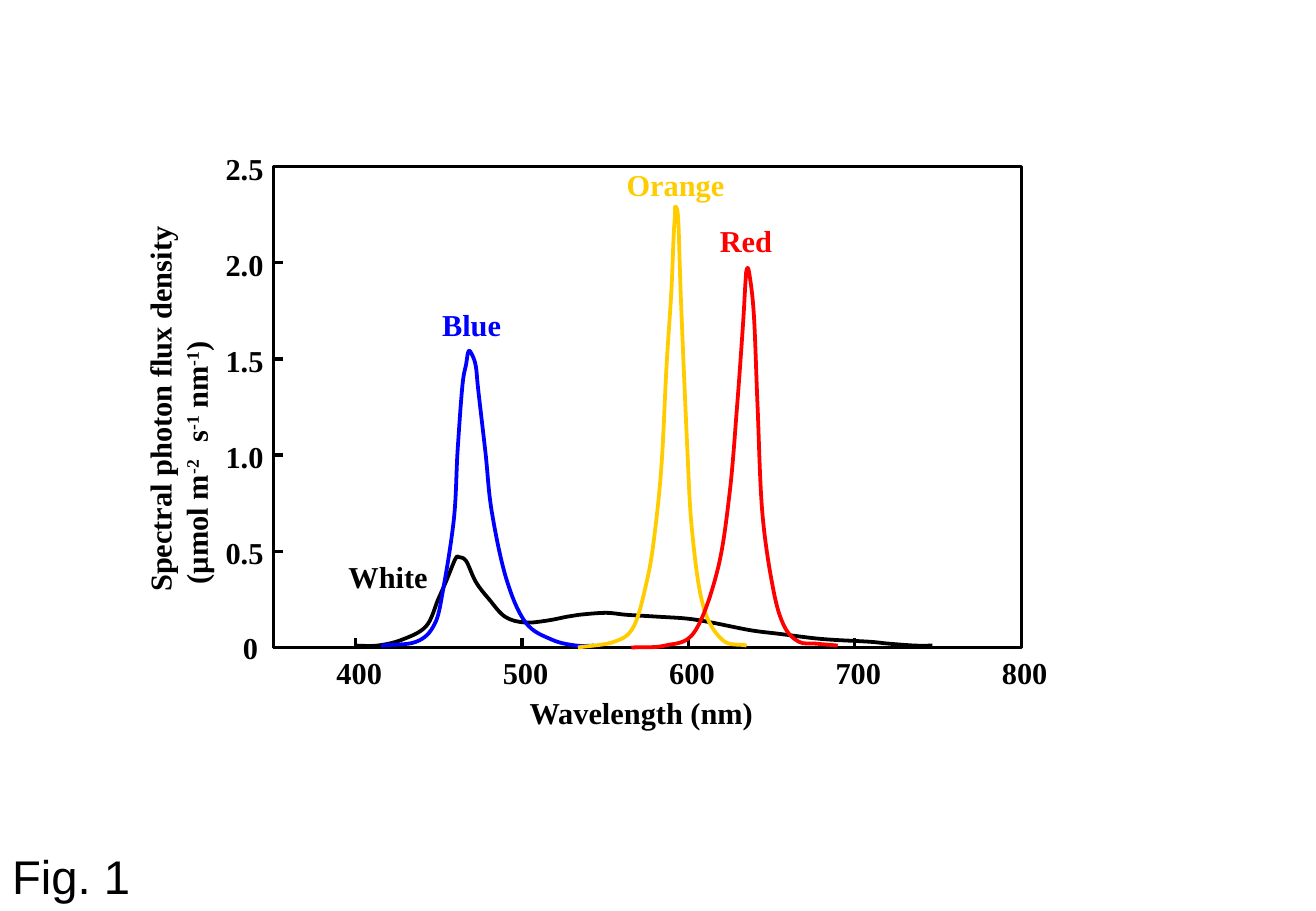
from dataclasses import dataclass

from lxml.etree import SubElement
from pptx import Presentation
from pptx.dml.color import RGBColor
from pptx.enum.shapes import MSO_CONNECTOR, MSO_SHAPE
from pptx.enum.text import MSO_ANCHOR, MSO_AUTO_SIZE, PP_ALIGN
from pptx.oxml.ns import qn
from pptx.util import Cm, Pt


@dataclass(frozen=True)
class Theme:
    black: RGBColor = RGBColor(0x00, 0x00, 0x00)
    blue: RGBColor = RGBColor(0x00, 0x00, 0xFF)
    orange: RGBColor = RGBColor(0xFF, 0xCC, 0x00)
    red: RGBColor = RGBColor(0xFF, 0x00, 0x00)
    label_font: str = "Times New Roman"
    title_font: str = "Arial"
    label_size: Pt = Pt(18)
    title_size: Pt = Pt(28)
    hairline: Pt = Pt(0)
    axis_line: Pt = Pt(2)
    curve_line: Pt = Pt(2.25)


THEME = Theme()

PLOT_LEFT, PLOT_TOP, PLOT_WIDTH, PLOT_HEIGHT = 5.72, 3.48, 15.65, 10.06
PLOT_BOTTOM = PLOT_TOP + PLOT_HEIGHT
NM_400, CM_PER_NM = 7.44, 3.48 / 100
CM_PER_FLUX = PLOT_HEIGHT / 2.5
TICK, CORNER_TICK = 0.2, 0.14
LABEL_HEIGHT = 0.76

WHITE = [
    (400, 0.01), (413.1, 0.01), (427.7, 0.04), (442.3, 0.11), (449.6, 0.25),
    (454.7, 0.35), (458.4, 0.43), (460.6, 0.47), (462, 0.47), (466.4, 0.45),
    (472.3, 0.34), (480.3, 0.25), (489.8, 0.16), (501.5, 0.13), (515.3, 0.14),
    (527, 0.16), (534.3, 0.17), (550.4, 0.18), (562.8, 0.17), (581.8, 0.16),
    (599.3, 0.15), (613.9, 0.13), (637.2, 0.09), (655.5, 0.07), (673.7, 0.05),
    (686.9, 0.04), (708.8, 0.03), (720.4, 0.02), (736.5, 0.01), (746.7, 0.01),
]
BLUE = [
    (415.3, 0.01), (436.5, 0.03), (447.4, 0.12), (452.6, 0.3), (459.1, 0.67),
    (461.3, 1.02), (464.2, 1.36), (466.4, 1.47), (467.9, 1.54), (470.1, 1.52),
    (472.3, 1.46), (473.7, 1.34), (478.1, 1.01), (481.8, 0.71), (490.5, 0.36),
    (502.2, 0.13), (518.2, 0.04), (532.8, 0.01), (543.1, 0.01),
]
ORANGE = [
    (533.6, 0), (555.5, 0.03), (567.2, 0.11), (575.2, 0.35), (579.6, 0.58),
    (583.9, 0.95), (586.9, 1.46), (589.8, 1.85), (591.2, 2.14), (592, 2.25),
    (592, 2.29), (593.4, 2.27), (594.2, 2.17), (595.6, 1.8), (599.3, 1.05),
    (602.2, 0.61), (608.8, 0.22), (620.4, 0.04), (635, 0.01),
]
RED = [
    (565.7, 0), (586.1, 0.01), (603.6, 0.08), (617.5, 0.4), (624.8, 0.8),
    (629.2, 1.24), (632.8, 1.67), (634.3, 1.89), (635, 1.96), (636.5, 1.95),
    (639.4, 1.73), (641.6, 1.26), (644.5, 0.7), (651.1, 0.3), (657.7, 0.11),
    (666.4, 0.03), (676.6, 0.02), (689.8, 0.01),
]

SPECTRA = [
    ("White", WHITE, THEME.black, 7.29, 11.68, 1.8),
    ("Blue", BLUE, THEME.blue, 9.25, 6.4, 1.4),
    ("Orange", ORANGE, THEME.orange, 13.11, 3.48, 2.2),
    ("Red", RED, THEME.red, 15.06, 4.65, 1.25),
]


def x_at(nm):
    return NM_400 + (nm - 400) * CM_PER_NM


def y_at(flux):
    return PLOT_BOTTOM - flux * CM_PER_FLUX


def format_run(r, font, size, color, bold):
    r.font.name = font
    r.font.size = size
    r.font.bold = bold
    r.font.color.rgb = color


def add_label(s, text, left, top, width, height=LABEL_HEIGHT, color=THEME.black):
    sp = s.shapes.add_textbox(Cm(left), Cm(top), Cm(width), Cm(height))
    tf = sp.text_frame
    tf.margin_left = tf.margin_right = tf.margin_top = tf.margin_bottom = 0
    tf.word_wrap = False
    tf.auto_size = MSO_AUTO_SIZE.NONE
    tf.text = text
    p = tf.paragraphs[0]
    p.alignment = PP_ALIGN.LEFT
    format_run(p.runs[0], THEME.label_font, THEME.label_size, color, True)
    return sp


def add_tick(s, x, y, dx, dy, width=THEME.axis_line):
    line = s.shapes.add_connector(
        MSO_CONNECTOR.STRAIGHT, Cm(x), Cm(y), Cm(x + dx), Cm(y + dy)
    )
    line.line.color.rgb = THEME.black
    line.line.width = width
    SubElement(line._element.spPr, qn("a:effectLst"))


def add_frame(s):
    sp = s.shapes.add_shape(
        MSO_SHAPE.RECTANGLE, Cm(PLOT_LEFT), Cm(PLOT_TOP), Cm(PLOT_WIDTH), Cm(PLOT_HEIGHT)
    )
    sp.shadow.inherit = False
    sp.fill.background()
    sp.line.color.rgb = THEME.black
    sp.line.width = THEME.axis_line


def add_axes(s):
    add_tick(s, PLOT_LEFT, PLOT_BOTTOM, CORNER_TICK, 0, THEME.hairline)
    add_tick(s, PLOT_LEFT, PLOT_BOTTOM, 0, -CORNER_TICK, THEME.hairline)
    add_frame(s)
    for nm in range(400, 801, 100):
        x = x_at(nm)
        add_label(s, str(nm), x - 0.4, PLOT_BOTTOM + 0.13, 1.1)
        if nm < 800:
            add_tick(s, x, PLOT_BOTTOM, 0, -TICK)
    add_label(s, "0", 5.08, PLOT_BOTTOM - 0.38, 0.45)
    for text in ("0.5", "1.0", "1.5", "2.0", "2.5"):
        y = y_at(float(text))
        add_label(s, text, 4.72, y - 0.35, 0.95)
        if text != "2.5":
            add_tick(s, PLOT_LEFT, y, TICK, 0)


def add_axis_titles(s):
    add_label(s, "Wavelength (nm)", 11.08, 14.51, 4.85)
    sp = add_label(s, "Spectral photon flux density", -0.13, 7.77, 7.69, 2 * LABEL_HEIGHT)
    sp.rotation = 270
    p = sp.text_frame.add_paragraph()
    p.alignment = PP_ALIGN.LEFT
    units = [(" (µmol m", "-2　"), ("s", "-1"), (" nm", "-1"), (")", "")]
    for base, exponent in units:
        for text, baseline in ((base, "0"), (exponent, "30000")):
            if text:
                r = p.add_run()
                r.text = text
                format_run(r, THEME.label_font, THEME.label_size, THEME.black, True)
                r._r.get_or_add_rPr().set("baseline", baseline)


def mirrored(end, inner):
    return tuple(2 * e - i for e, i in zip(end, inner))


def handles(before, start, end, after):
    first = [b + (c - a) / 6 for a, b, c in zip(before, start, end)]
    second = [c - (d - b) / 6 for b, c, d in zip(start, end, after)]
    return first, second


def smooth(sp):
    outline = sp._element.spPr.find(".//" + qn("a:path"))
    knots = [(int(pt.get("x")), int(pt.get("y"))) for pt in outline.iter(qn("a:pt"))]
    ext = [mirrored(knots[0], knots[1]), *knots, mirrored(knots[-1], knots[-2])]
    for segment in outline.findall(qn("a:lnTo")):
        outline.remove(segment)
    for before, start, end, after in zip(ext, ext[1:], ext[2:], ext[3:]):
        bezier = SubElement(outline, qn("a:cubicBezTo"))
        for x, y in (*handles(before, start, end, after), end):
            SubElement(bezier, qn("a:pt"), x=str(round(x)), y=str(round(y)))


def add_curve(s, spectrum, color):
    knots = [(Cm(x_at(nm)), Cm(y_at(flux))) for nm, flux in spectrum]
    builder = s.shapes.build_freeform(*knots[0])
    builder.add_line_segments(knots[1:], close=False)
    sp = builder.convert_to_shape()
    smooth(sp)
    sp.shadow.inherit = False
    sp.fill.background()
    sp.line.color.rgb = color
    sp.line.width = THEME.curve_line


def set_title(s, text):
    sp = s.shapes.title
    sp.left, sp.top, sp.width, sp.height = Cm(0), Cm(17.6), Cm(3.3), Cm(1.45)
    tf = sp.text_frame
    tf.text = text
    tf.word_wrap = False
    tf.auto_size = MSO_AUTO_SIZE.NONE
    tf.vertical_anchor = MSO_ANCHOR.TOP
    p = tf.paragraphs[0]
    p.alignment = PP_ALIGN.LEFT
    format_run(p.runs[0], THEME.title_font, THEME.title_size, THEME.black, False)


def main():
    prs = Presentation()
    prs.slide_width, prs.slide_height = Cm(27.53), Cm(19.05)
    s = prs.slides.add_slide(prs.slide_layouts[5])
    set_title(s, "Fig. 1")
    add_axes(s)
    add_axis_titles(s)
    for name, spectrum, color, left, top, width in SPECTRA:
        add_label(s, name, left, top, width, color=color)
        add_curve(s, spectrum, color)
    prs.save("out.pptx")


if __name__ == "__main__":
    main()
